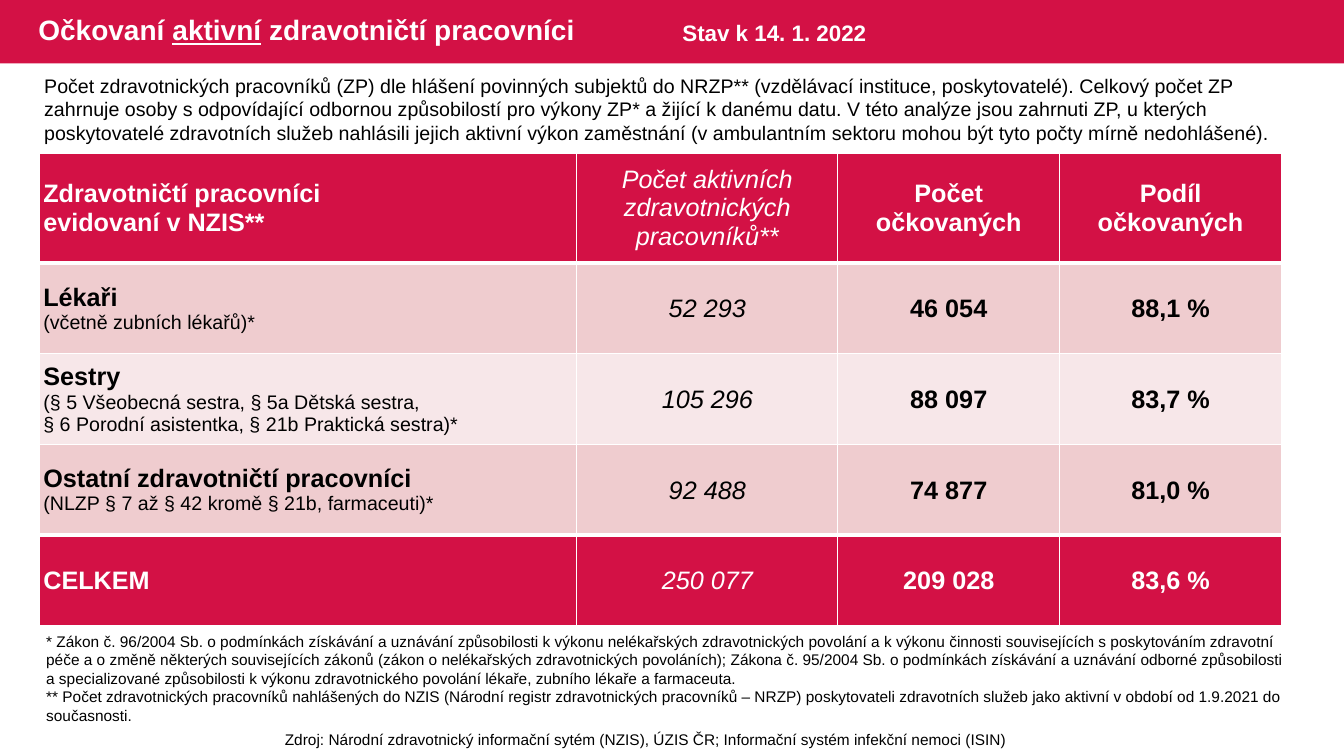
from dataclasses import dataclass

from pptx import Presentation
from pptx.dml.color import RGBColor
from pptx.enum.shapes import MSO_SHAPE as Shape
from pptx.enum.text import MSO_ANCHOR as Anchor, PP_ALIGN as Align
from pptx.oxml import parse_xml
from pptx.oxml.ns import nsdecls
from pptx.slide import Slide
from pptx.table import Table, _Cell as Cell
from pptx.util import Inches, Pt


@dataclass(frozen=True)
class Theme:
    font: str = "Arial"
    crimson: str = "D31145"
    rose: str = "EFCCCF"
    blush: str = "F7E7E9"
    white: str = "FFFFFF"
    black: str = "000000"
    title: int = 20
    table: int = 18
    date: int = 16
    body: int = 14
    note: int = 11


@dataclass(frozen=True)
class TextBox:
    left: float
    top: float
    width: float
    height: float
    paragraphs: tuple[str, ...]
    size: int
    color: str
    bold: bool = False
    align: Align = Align.LEFT


@dataclass(frozen=True)
class Row:
    label: tuple[str, ...]
    values: tuple[str, str, str]
    fill: str
    color: str
    height: float = 0.9
    label_detail: bool = True
    top_line: int = 1
    bottom_line: int = 1


THEME = Theme()

TEXT_BOXES = (
    TextBox(0.36, 6.22, 12.53, 1.03, (
        "* Zákon č. 96/2004 Sb. o podmínkách získávání a uznávání způsobilosti k výkonu "
        "nelékařských zdravotnických povolání a k výkonu činnosti souvisejících s poskytováním "
        "zdravotní péče a o změně některých souvisejících zákonů (zákon o nelékařských "
        "zdravotnických povoláních); Zákona č. 95/2004 Sb. o podmínkách získávání a uznávání "
        "odborné způsobilosti a specializované způsobilosti k výkonu zdravotnického povolání "
        "lékaře, zubního lékaře a farmaceuta.",
        "** Počet zdravotnických pracovníků nahlášených do NZIS (Národní registr zdravotnických "
        "pracovníků – NRZP) poskytovateli zdravotních služeb jako aktivní v období od 1.9.2021 "
        "do současnosti.",
    ), THEME.note, THEME.black),
    TextBox(0.34, 0.68, 12.64, 0.81, (
        "Počet zdravotnických pracovníků (ZP) dle hlášení povinných subjektů do NRZP** "
        "(vzdělávací instituce, poskytovatelé). Celkový počet ZP zahrnuje osoby s odpovídající "
        "odbornou způsobilostí pro výkony ZP* a žijící k danému datu. V této analýze jsou "
        "zahrnuti ZP, u kterých poskytovatelé zdravotních služeb nahlásili jejich aktivní výkon "
        "zaměstnání (v ambulantním sektoru mohou být tyto počty mírně nedohlášené).",
    ), THEME.body, THEME.black),
    TextBox(6.67, 0.14, 2.2, 0.37, ("Stav k 14. 1. 2022",), THEME.date, THEME.white, bold=True),
    TextBox(1.9, 7.19, 9.06, 0.29, (
        "Zdroj: Národní zdravotnický informační sytém (NZIS), ÚZIS ČR; "
        "Informační systém infekční nemoci (ISIN) ",
    ), THEME.note, THEME.black, align=Align.CENTER),
)

COLUMN_WIDTHS = (5.33, 2.59, 2.2, 2.2)
ROWS = (
    Row(("Zdravotničtí pracovníci", "evidovaní v NZIS**"),
        ("Počet aktivních zdravotnických pracovníků**", "Počet očkovaných", "Podíl očkovaných"),
        THEME.crimson, THEME.white, height=1.09, label_detail=False, bottom_line=3),
    Row(("Lékaři", "(včetně zubních lékařů)*"),
        ("52 293", "46 054", "88,1 %"), THEME.rose, THEME.black, top_line=3),
    Row(("Sestry", "(§ 5 Všeobecná sestra, § 5a Dětská sestra,",
         "§ 6 Porodní asistentka, § 21b Praktická sestra)*"),
        ("105 296", "88 097", "83,7 %"), THEME.blush, THEME.black),
    Row(("Ostatní zdravotničtí pracovníci", "(NLZP § 7 až § 42 kromě § 21b, farmaceuti)*"),
        ("92 488", "74 877", "81,0 %"), THEME.rose, THEME.black, bottom_line=3),
    Row(("CELKEM",), ("250 077", "209 028", "83,6 %"),
        THEME.crimson, THEME.white, top_line=3),
)


def style_font(font, size: int, color: str, bold: bool = False, italic: bool = False) -> None:
    font.name, font.size = THEME.font, Pt(size)
    font.bold, font.italic = bold, italic
    font.color.rgb = RGBColor.from_string(color)


def add_title(page: Slide) -> None:
    """Draw the header band and set the title above it."""
    band = page.shapes.add_shape(Shape.RECTANGLE, 0, 0, Inches(13.33), Inches(0.63))
    band.shadow.inherit = False
    band.fill.solid()
    band.fill.fore_color.rgb = RGBColor.from_string(THEME.crimson)
    band.line.fill.background()
    title = page.shapes.title
    band._element.addnext(title._element)
    title.left, title.top = Inches(0.28), Inches(0)
    title.width, title.height = Inches(8.13), Inches(0.63)
    title.text_frame.vertical_anchor = Anchor.MIDDLE
    title.text_frame.word_wrap = True
    para = title.text_frame.paragraphs[0]
    para.alignment, para.line_spacing = Align.LEFT, 0.9
    style_font(para.font, THEME.title, THEME.white, bold=True)
    for text in ("Očkovaní ", "aktivní", " zdravotničtí pracovníci"):
        span = para.add_run()
        span.text = text
        span.font.underline = text == "aktivní"


def add_text_box(page: Slide, item: TextBox) -> None:
    box = page.shapes.add_textbox(
        Inches(item.left), Inches(item.top), Inches(item.width), Inches(item.height))
    frame = box.text_frame
    frame.word_wrap = True
    frame.text = "\n".join(item.paragraphs)
    for para in frame.paragraphs:
        para.alignment = item.align
        style_font(para.font, item.size, item.color, item.bold)


def set_borders(cell: Cell, row: Row) -> None:
    widths = {"lnL": 1, "lnR": 1, "lnT": row.top_line, "lnB": row.bottom_line}
    for side, width in widths.items():
        cell._tc.get_or_add_tcPr().append(parse_xml(
            f'<a:{side} {nsdecls("a")} w="{Pt(width)}"><a:solidFill>'
            f'<a:srgbClr val="{THEME.white}"/></a:solidFill></a:{side}>'))


def fill_row(table: Table, index: int, row: Row) -> None:
    table.rows[index].height = Inches(row.height)
    for column, text in enumerate(("\n".join(row.label), *row.values)):
        cell = table.cell(index, column)
        set_borders(cell, row)
        cell.fill.solid()
        cell.fill.fore_color.rgb = RGBColor.from_string(row.fill)
        cell.vertical_anchor = Anchor.MIDDLE
        wide = column == 0 or index == 0
        cell.margin_left = cell.margin_right = Inches(0.04 if wide else 0.01)
        cell.margin_top = Inches(0 if wide else 0.01)
        cell.margin_bottom = 0
        cell.text = text
        for line, para in enumerate(cell.text_frame.paragraphs):
            detail = line > 0 and row.label_detail
            italic = column == 1
            para.alignment = Align.CENTER if column else Align.LEFT
            style_font(para.font, THEME.body if detail else THEME.table, row.color,
                       bold=not (detail or italic), italic=italic)


def add_table(page: Slide) -> None:
    table = page.shapes.add_table(
        len(ROWS), len(COLUMN_WIDTHS), Inches(0.39), Inches(1.52),
        Inches(sum(COLUMN_WIDTHS)), Inches(sum(row.height for row in ROWS))).table
    for column, width in zip(table.columns, COLUMN_WIDTHS):
        column.width = Inches(width)
    for index, row in enumerate(ROWS):
        fill_row(table, index, row)


def main() -> None:
    deck = Presentation()
    deck.slide_width, deck.slide_height = Inches(13.33), Inches(7.5)
    page = deck.slides.add_slide(deck.slide_layouts.get_by_name("Title Only"))
    add_title(page)
    add_table(page)
    for item in TEXT_BOXES:
        add_text_box(page, item)
    deck.save("out.pptx")


if __name__ == "__main__":
    main()
